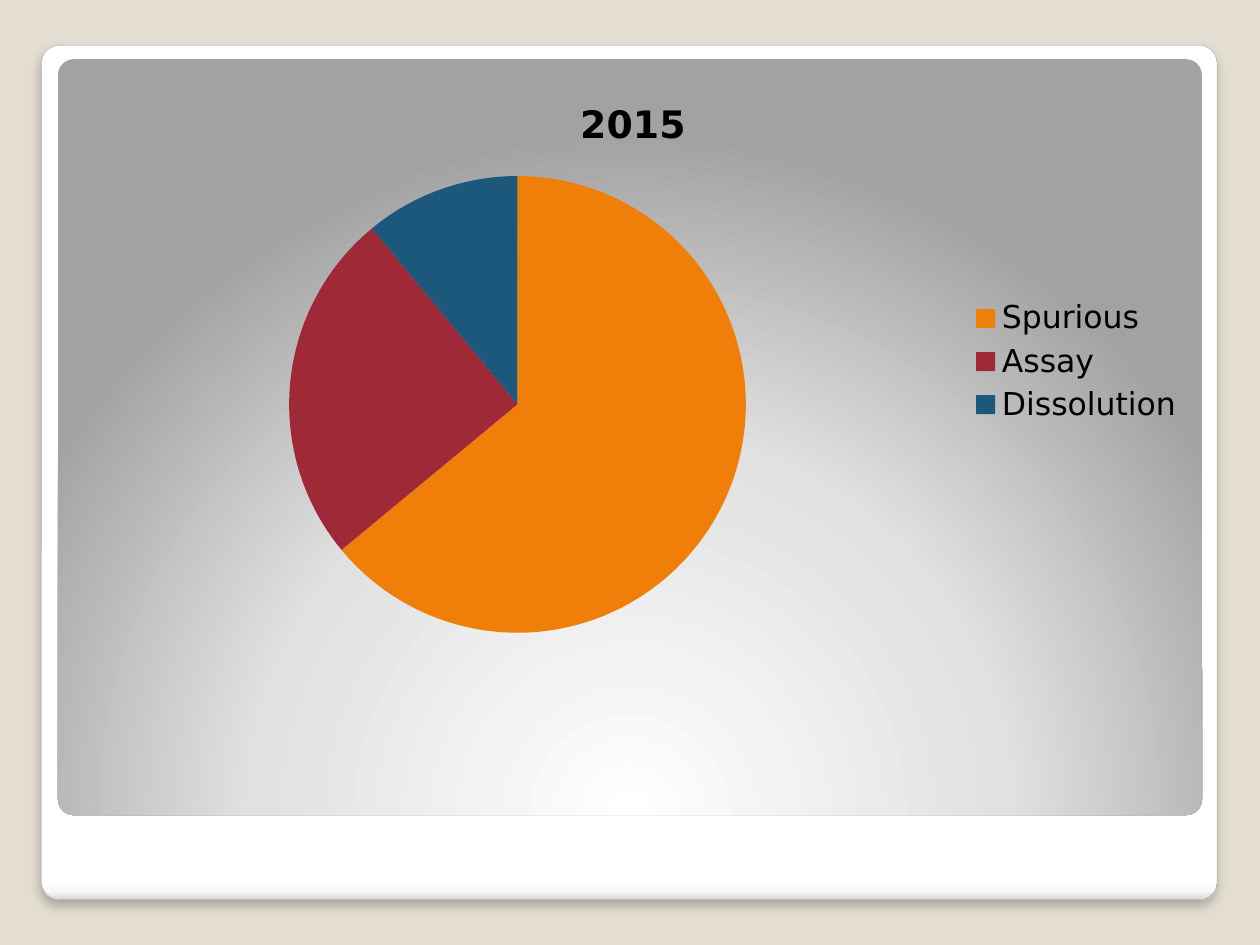
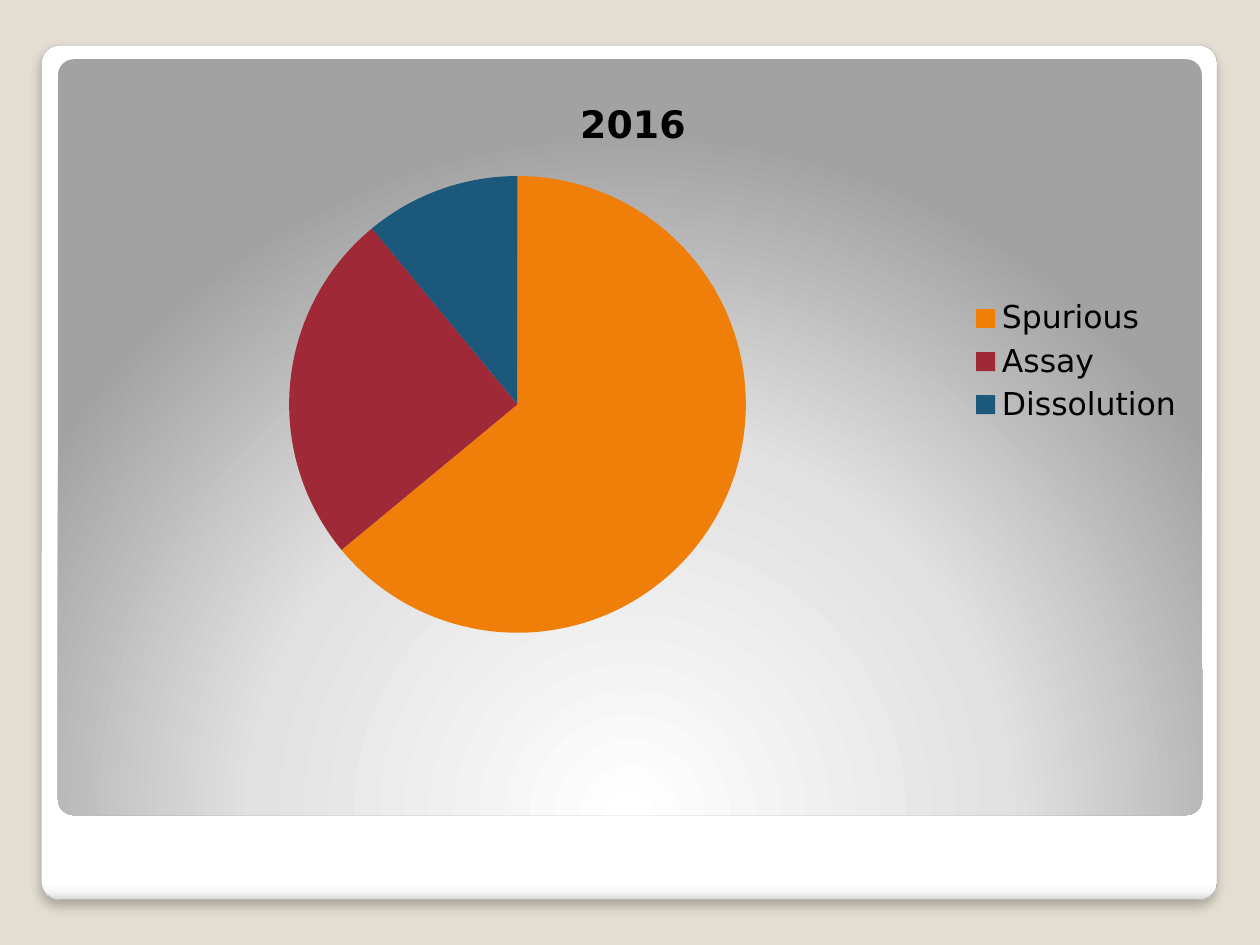
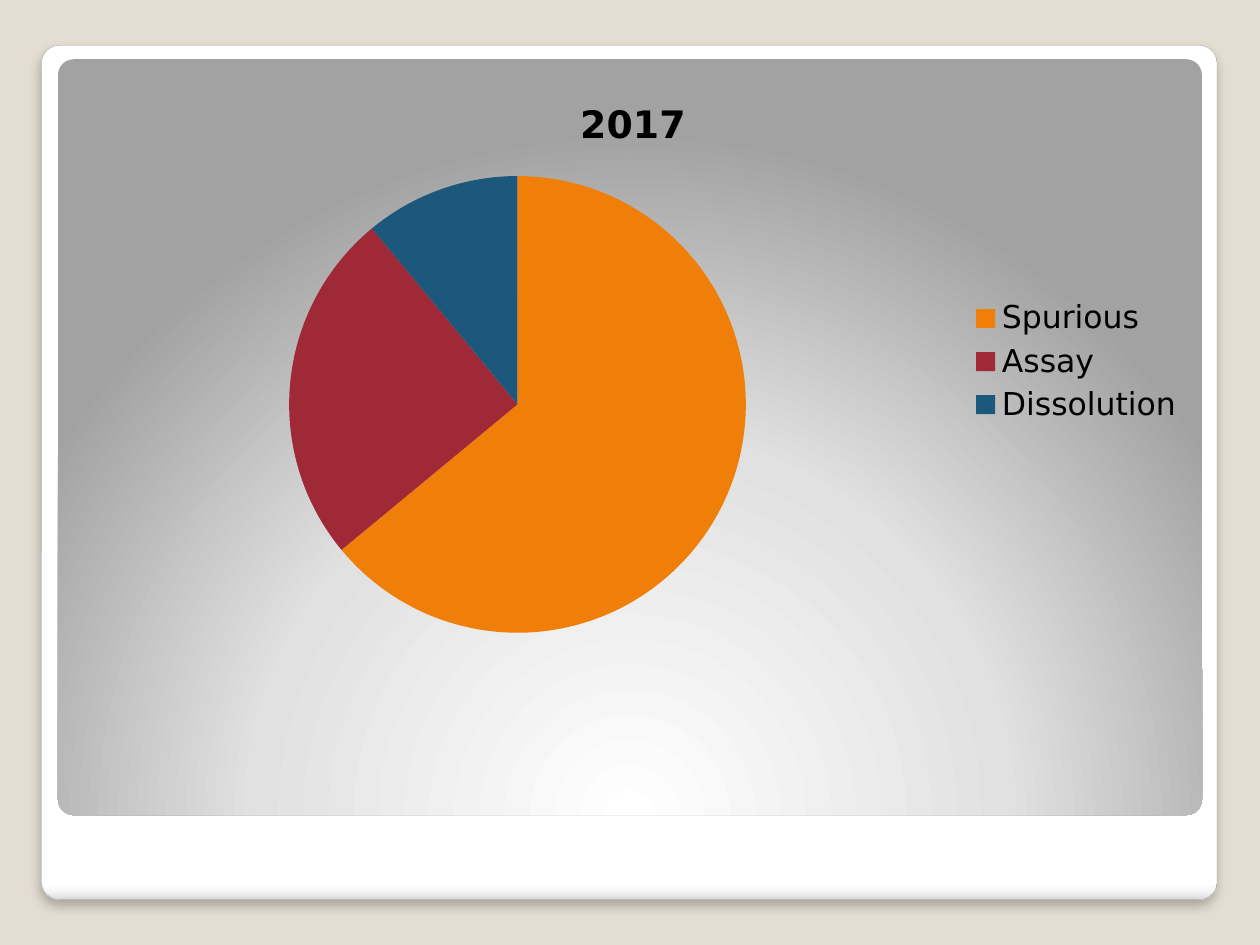
from lxml import etree
from pptx import Presentation
from pptx.chart.data import CategoryChartData
from pptx.dml.color import RGBColor
from pptx.enum.chart import XL_CHART_TYPE, XL_LEGEND_POSITION
from pptx.enum.shapes import MSO_SHAPE
from pptx.oxml.ns import qn
from pptx.util import Inches, Pt

PIE = XL_CHART_TYPE.PIE
RIGHT = XL_LEGEND_POSITION.RIGHT
ROUND = MSO_SHAPE.ROUNDED_RECTANGLE

SAND = RGBColor(0xE3, 0xDE, 0xD1)
BLACK = RGBColor(0, 0, 0)
WHITE = RGBColor(0xFF, 0xFF, 0xFF)
PALE = RGBColor(0xF7, 0xF7, 0xF7)
MIST = RGBColor(0xE1, 0xE1, 0xE1)
SILVER = RGBColor(0xDA, 0xDA, 0xDA)
GREY = RGBColor(0xA2, 0xA2, 0xA2)
EDGE = RGBColor(0xA4, 0xA4, 0xA4)
ORANGE = RGBColor(0xF0, 0x7F, 0x09)
RED = RGBColor(0x9F, 0x29, 0x36)
BLUE = RGBColor(0x1B, 0x58, 0x7C)
FONT = "DejaVu Sans"

PARTS = ["Spurious", "Assay", "Dissolution"]
HUES = [ORANGE, RED, BLUE]
YEARS = [
    ("2015", (64, 25, 11)),
    ("2016", (64, 25, 11)),
    ("2017", (64, 25, 11)),
]

CARD = (3.3, 4.8, 93.3, 90.4)
PANEL = (4.6, 6.27, 90.8, 80)
CHART = (5.5, 7.73, 89.5, 61.07)
CARD_STOPS = [(0, WHITE), (98, WHITE), (99, PALE), (100, SILVER)]
PANEL_STOPS = [(0, WHITE), (55, MIST), (100, GREY)]
FOCUS = {"l": 50, "t": 175, "r": 50, "b": -75}

deck = Presentation()
deck.slide_width = Inches(10)
deck.slide_height = Inches(7.5)
blank = deck.slide_layouts[6]


def place(box):
    sides = (deck.slide_width, deck.slide_height) * 2
    return [round(side * share / 100) for side, share in zip(sides, box)]


def add(parent, tag, **attrs):
    return etree.SubElement(parent, qn(tag), {k: str(v) for k, v in attrs.items()})


def tint(parent, color, alpha=100):
    node = add(parent, "a:srgbClr", val=color)
    if alpha < 100:
        add(node, "a:alpha", val=alpha * 1000)


def blend(shape, stops, focus=None):
    grad = etree.Element(qn("a:gradFill"), rotWithShape="1")
    ramp = add(grad, "a:gsLst")
    for spot, color in stops:
        tint(add(ramp, "a:gs", pos=spot * 1000), color)
    if focus:
        ring = add(grad, "a:path", path="circle")
        add(ring, "a:fillToRect", **{k: v * 1000 for k, v in focus.items()})
    else:
        add(grad, "a:lin", ang=90 * 60000, scaled=0)
    shape._element.spPr.find(qn("a:prstGeom")).addnext(grad)


def add_round(slide, box, stops, focus=None):
    shape = slide.shapes.add_shape(ROUND, *place(box))
    shape.adjustments[0] = 0.021
    shape.shadow.inherit = False
    shape.line.fill.background()
    blend(shape, stops, focus)
    return shape


def add_frame(slide):
    card = add_round(slide, CARD, CARD_STOPS)
    card.line.color.rgb = EDGE
    card.line.width = Pt(0.16)
    glow = card._element.spPr.find(qn("a:effectLst"))
    shade = add(glow, "a:outerShdw", blurRad=Pt(6), dist=Pt(4),
                dir=90 * 60000, algn="tl", rotWithShape=0)
    tint(shade, BLACK, 25)
    add_round(slide, PANEL, PANEL_STOPS, FOCUS)


def style(font, size, bold=False):
    font.name = FONT
    font.size = Pt(size)
    font.bold = bold
    font.color.rgb = BLACK


def add_pie(slide, year, values):
    data = CategoryChartData()
    data.categories = PARTS
    data.add_series(year, values)
    chart = slide.shapes.add_chart(PIE, *place(CHART), data).chart
    style(chart.font, 18)
    chart.has_title = True
    run = chart.chart_title.text_frame.paragraphs[0].add_run()
    run.text = year
    style(run.font, 21.6, True)
    chart.chart_title.include_in_layout = False
    chart.has_legend = True
    chart.legend.position = RIGHT
    chart.legend.include_in_layout = False
    plot = chart.plots[0]
    plot.vary_by_categories = True
    for i, hue in enumerate(HUES):
        fill = plot.series[0].points[i].format.fill
        fill.solid()
        fill.fore_color.rgb = hue


back = deck.slide_master.background.fill
back.solid()
back.fore_color.rgb = SAND

for year, values in YEARS:
    slide = deck.slides.add_slide(blank)
    add_frame(slide)
    add_pie(slide, year, values)

deck.save("out.pptx")
